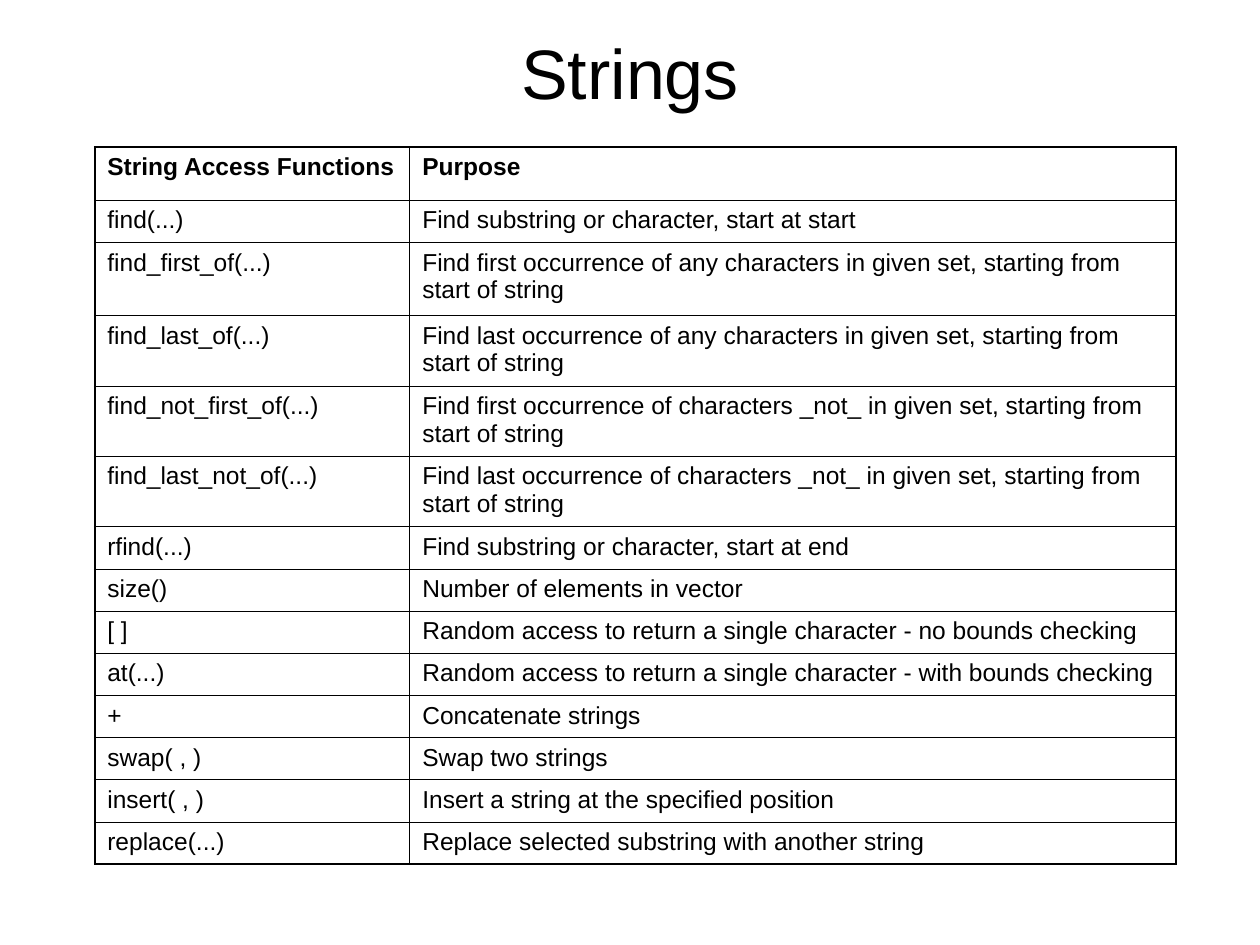
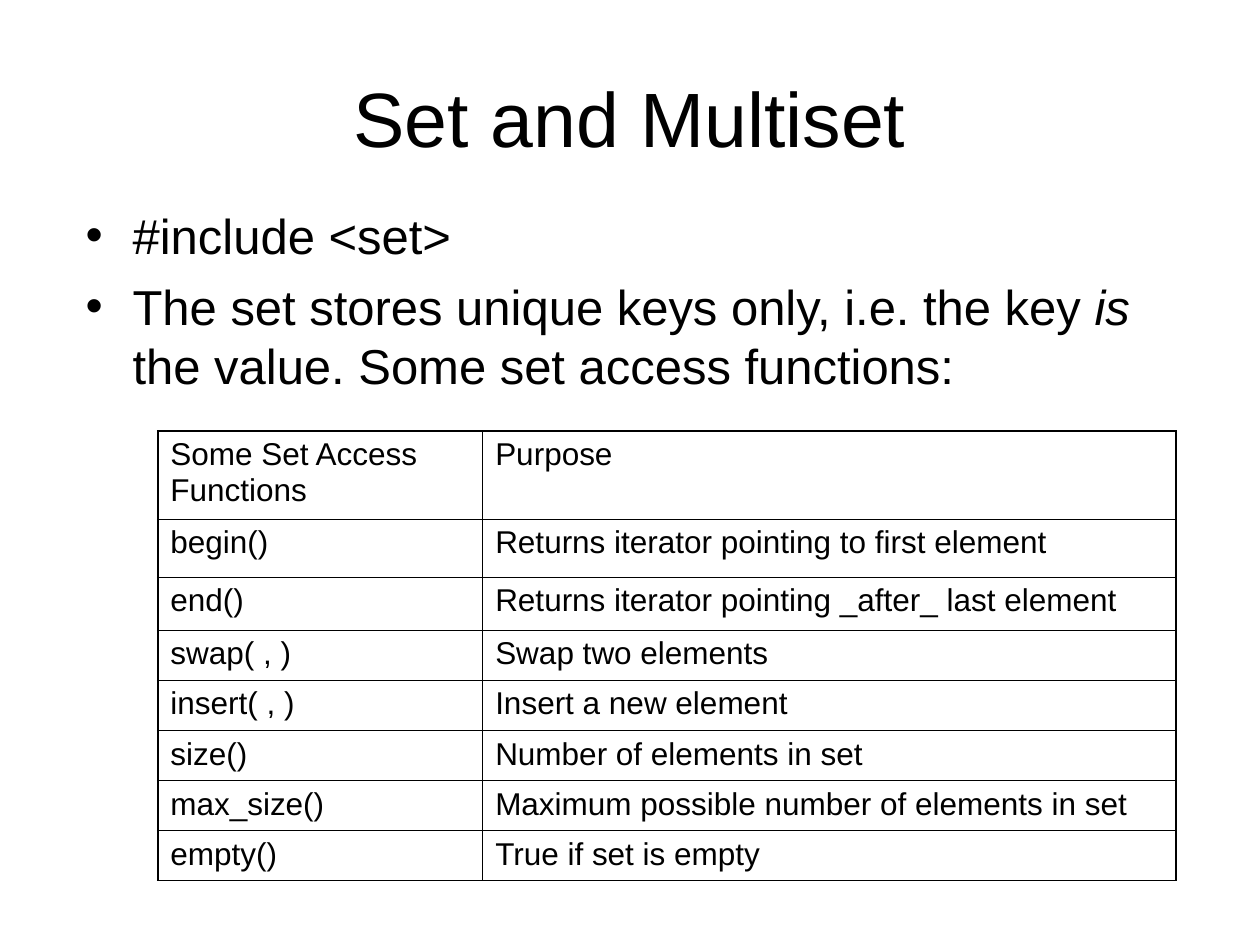
from lxml.etree import SubElement
from pptx import Presentation
from pptx.dml.color import RGBColor
from pptx.enum.text import MSO_ANCHOR, MSO_AUTO_SIZE, PP_ALIGN
from pptx.oxml.ns import qn
from pptx.util import Cm, Pt

BLACK = RGBColor(0x00, 0x00, 0x00)
FONT = "Arial"
OUTER_LINE = Pt(1.08)
INNER_LINE = Pt(0.45)
TITLE_ONLY = 5
TITLE_AND_BODY = 1

STRING_ROWS = [
    ("String Access Functions", "Purpose"),
    ("find(...)", "Find substring or character, start at start"),
    ("find_first_of(...)", "Find first occurrence of any characters in given set, starting from start of string"),
    ("find_last_of(...)", "Find last occurrence of any characters in given set, starting from start of string"),
    ("find_not_first_of(...)", "Find first occurrence of characters _not_ in given set, starting from start of string"),
    ("find_last_not_of(...)", "Find last occurrence of characters _not_ in given set, starting from start of string"),
    ("rfind(...)", "Find substring or character, start at end"),
    ("size()", "Number of elements in vector"),
    ("[ ]", "Random access to return a single character - no bounds checking"),
    ("at(...)", "Random access to return a single character - with bounds checking"),
    ("+", "Concatenate strings"),
    ("swap( , )", "Swap two strings"),
    ("insert( , )", "Insert a string at the specified position"),
    ("replace(...)", "Replace selected substring with another string"),
]
STRING_HEIGHTS = [1.07, 0.85, 1.47] + [1.42] * 3 + [0.85] * 8

SET_ROWS = [
    ("Some Set Access Functions", "Purpose"),
    ("begin()", "Returns iterator pointing to first element"),
    ("end()", "Returns iterator pointing _after_ last element"),
    ("swap( , )", "Swap two elements"),
    ("insert( , )", "Insert a new element"),
    ("size()", "Number of elements in set"),
    ("max_size()", "Maximum possible number of elements in set"),
    ("empty()", "True if set is empty"),
]
SET_HEIGHTS = [1.77, 1.17, 1.07] + [1.01] * 5

SET_POINTS = [
    [("#include <set>", False)],
    [
        ("The set stores unique keys only, i.e. the key ", False),
        ("is", True),
        (" the value. Some set access functions:", False),
    ],
]


def style_span(span, size, bold=False, italic=False):
    span.font.name = FONT
    span.font.size = Pt(size)
    span.font.bold = bold
    span.font.italic = italic
    span.font.color.rgb = BLACK


def place(box, left, top, width, height):
    box.left, box.top = Cm(left), Cm(top)
    box.width, box.height = Cm(width), Cm(height)
    box.text_frame.auto_size = MSO_AUTO_SIZE.NONE
    box.text_frame.word_wrap = True


def add_page(deck, layout, title, size, title_height):
    page = deck.slides.add_slide(deck.slide_layouts[layout])
    box = page.shapes.title
    place(box, 1.27, 0.76, 22.86, title_height)
    box.text_frame.text = title
    box.text_frame.vertical_anchor = MSO_ANCHOR.MIDDLE
    para = box.text_frame.paragraphs[0]
    para.alignment = PP_ALIGN.CENTER
    style_span(para.runs[0], size)
    return page


def add_bullet(para):
    properties = para._p.get_or_add_pPr()
    properties.set("marL", str(Cm(0.95)))
    properties.set("indent", str(-Cm(0.95)))
    color = SubElement(properties, qn("a:buClr"))
    SubElement(color, qn("a:srgbClr"), val=str(BLACK))
    SubElement(properties, qn("a:buFont"), typeface=FONT)
    SubElement(properties, qn("a:buChar"), char="•")


def fill_bullets(box, points, size):
    frame = box.text_frame
    for index, spans in enumerate(points):
        para = frame.add_paragraph() if index else frame.paragraphs[0]
        add_bullet(para)
        para.space_before = Pt(7 if index else 0)
        for text, italic in spans:
            span = para.add_run()
            span.text = text
            style_span(span, size, italic=italic)


def set_borders(cell, outer_sides):
    properties = cell._tc.get_or_add_tcPr()
    for side in "LRTB":
        width = OUTER_LINE if side in outer_sides else INNER_LINE
        line = SubElement(properties, qn(f"a:ln{side}"), w=str(width))
        fill = SubElement(line, qn("a:solidFill"))
        SubElement(fill, qn("a:srgbClr"), val=str(BLACK))


def add_function_table(page, left, top, widths, heights, rows, size, bold_header):
    frame = page.shapes.add_table(
        len(rows), len(widths), Cm(left), Cm(top), Cm(sum(widths)), Cm(sum(heights))
    )
    table = frame.table
    table.first_row = table.horz_banding = False
    for column, width in zip(table.columns, widths):
        column.width = Cm(width)
    for row_index, (texts, height) in enumerate(zip(rows, heights)):
        table.rows[row_index].height = Cm(height)
        vertical = {0: "T", len(rows) - 1: "B"}.get(row_index, "")
        for column_index, text in enumerate(texts):
            cell = table.cell(row_index, column_index)
            set_borders(cell, "LR"[column_index] + vertical)
            cell.fill.background()
            cell.text_frame.text = text
            span = cell.text_frame.paragraphs[0].runs[0]
            style_span(span, size, bold=bold_header and row_index == 0)


def main():
    deck = Presentation()
    deck.slide_width, deck.slide_height = Cm(25.4), Cm(19.05)

    strings_page = add_page(deck, TITLE_ONLY, "Strings", 40, 1.35)
    add_function_table(
        strings_page, 1.91, 2.97, [6.35, 15.44], STRING_HEIGHTS, STRING_ROWS, 14, True
    )

    set_page = add_page(deck, TITLE_AND_BODY, "Set and Multiset", 44, 3.18)
    body = set_page.placeholders[1]
    place(body, 1.47, 4.01, 21.59, 4.45)
    fill_bullets(body, SET_POINTS, 28)
    add_function_table(
        set_page, 3.18, 8.69, [6.55, 13.97], SET_HEIGHTS, SET_ROWS, 18, False
    )

    deck.save("out.pptx")


if __name__ == "__main__":
    main()
